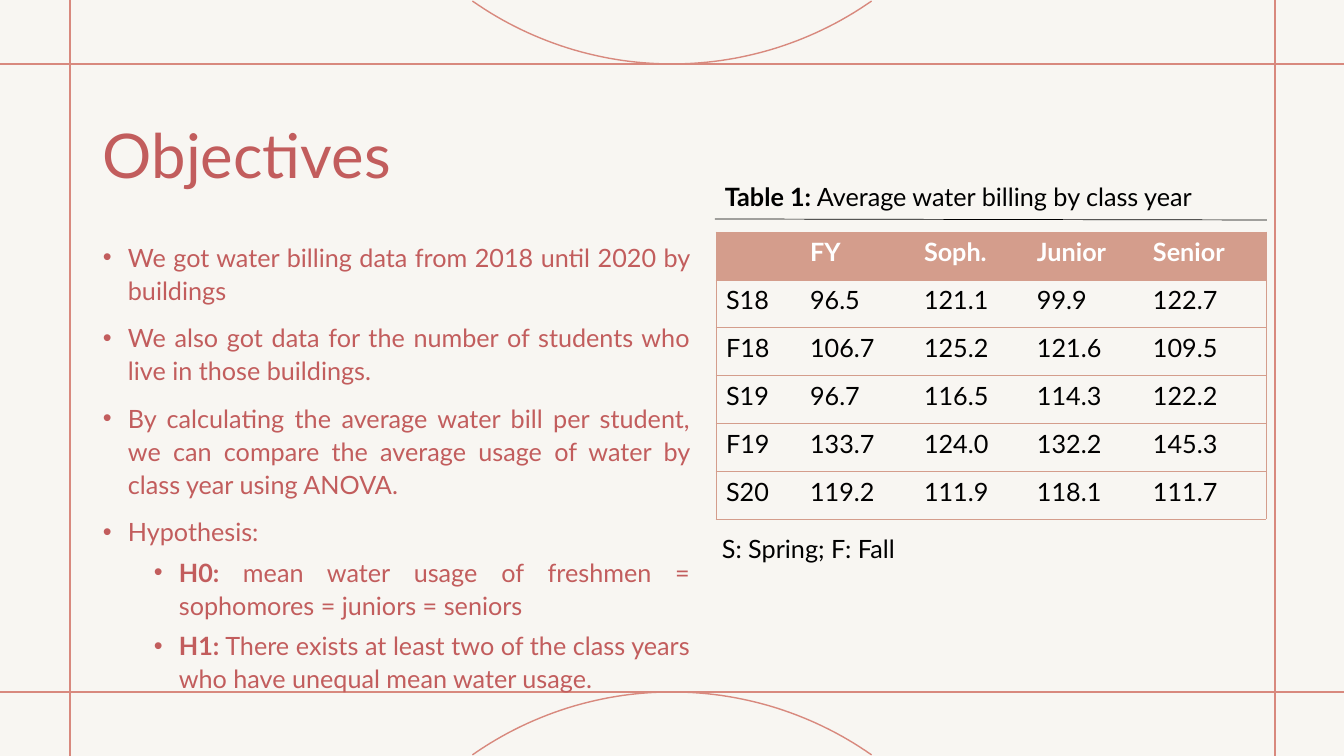
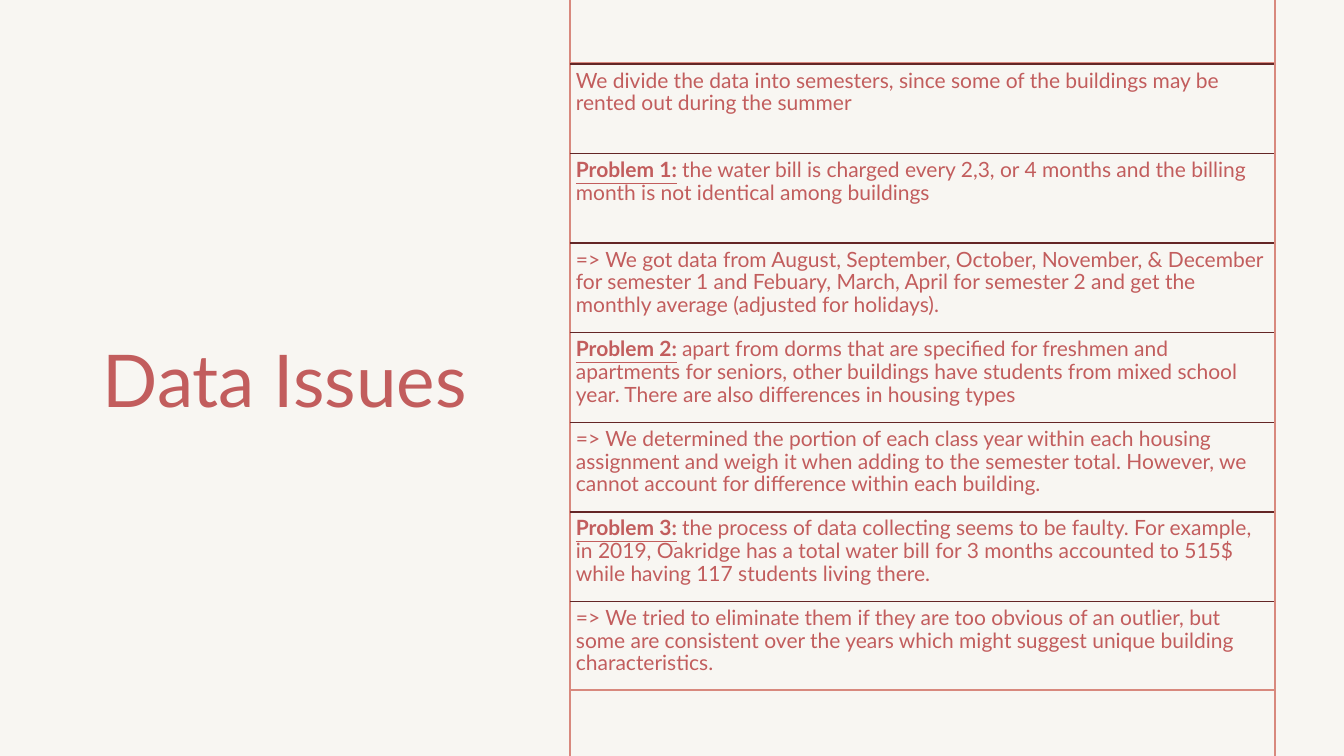
from math import cos, radians, sin

from lxml.etree import SubElement
from pptx import Presentation
from pptx.dml.color import RGBColor
from pptx.enum.shapes import MSO_CONNECTOR
from pptx.enum.text import MSO_ANCHOR, PP_ALIGN
from pptx.oxml import parse_xml
from pptx.oxml.ns import nsdecls, qn
from pptx.util import Pt

SCALE = 12192000 / 1344
WIDTH, HEIGHT = 1344, 756

THEME = {
    "font": "Lato",
    "paper": RGBColor.from_string("F8F6F2"),
    "text": RGBColor.from_string("C25D5D"),
    "frame": RGBColor.from_string("D8897E"),
    "rule": RGBColor.from_string("642626"),
    "header": RGBColor.from_string("D49D8C"),
    "white": RGBColor.from_string("FFFFFF"),
    "black": RGBColor.from_string("000000"),
    "title": 44,
    "big_title": 52,
    "body": 18,
    "row": 15,
}
BOLD = {"bold": True}
BOLD_UNDERLINE = {"bold": True, "underline": True}

FRAME = {"left": 70, "right": 1275, "top": 64, "bottom": 692}
ARC = {"radius": 348, "half_angle": 35, "steps": 60}

OBJECTIVES = [
    (0, [("We got water billing data from 2018 until 2020 by buildings", {})]),
    (0, [("We also got data for the number of students who live in those buildings.", {})]),
    (0, [("By calculating the average water bill per student, we can compare the average "
          "usage of water by class year using ANOVA.", {})]),
    (0, [("Hypothesis:", {})]),
    (1, [("H0: ", BOLD),
         ("mean water usage of freshmen = sophomores = juniors = seniors", {})]),
    (1, [("H1:", BOLD),
         (" There exists at least two of the class years who have unequal mean water usage.", {})]),
]
LEVELS = [{"indent": 25, "space": 10}, {"indent": 76, "space": 5}]
HANGING = 25

CAPTION = [("Table 1:", BOLD), (" Average water billing by class year", {})]
LEGEND = [("S: Spring; F: Fall", {})]
BILLING = [
    ("", "FY", "Soph.", "Junior", "Senior"),
    ("S18", "96.5", "121.1", "99.9", "122.7"),
    ("F18", "106.7", "125.2", "121.6", "109.5"),
    ("S19", "96.7", "116.5", "114.3", "122.2"),
    ("F19", "133.7", "124.0", "132.2", "145.3"),
    ("S20", "119.2", "111.9", "118.1", "111.7"),
]
COLUMN_WIDTHS = [84, 114, 113, 116, 123]
TABLE_BOX = (716, 232, sum(COLUMN_WIDTHS), 287)

ISSUES = [
    ("", "We divide the data into semesters, since some of the buildings may be rented out "
         "during the summer"),
    ("Problem 1:", "the water bill is charged every 2,3, or 4 months and the billing month is "
                   "not identical among buildings"),
    ("", "=> We got data from August, September, October, November, & December for semester 1 "
         "and Febuary, March, April for semester 2 and get the monthly average "
         "(adjusted for holidays)."),
    ("Problem 2:", "apart from dorms that are specified for freshmen and apartments for seniors, "
                   "other buildings have students from mixed school year. There are also "
                   "differences in housing types"),
    ("", "=> We determined the portion of each class year within each housing assignment and "
         "weigh it when adding to the semester total. However, we cannot account for "
         "difference within each building."),
    ("Problem 3:", "the process of data collecting seems to be faulty. For example, in 2019, "
                   "Oakridge has a total water bill for 3 months accounted to 515$ while having "
                   "117 students living there."),
    ("", "=> We tried to eliminate them if they are too obvious of an outlier, but some are "
         "consistent over the years which might suggest unique building characteristics."),
]
ISSUE_LEFT, ISSUE_RIGHT, ISSUE_TOP, ISSUE_HEIGHT = 570, 1274, 64, 627


def px(value):
    return round(value * SCALE)


def apply_format(target, values):
    for name, value in values.items():
        setattr(target, name, value)


def add_runs(paragraph, runs, size, color):
    for text, extra in runs:
        run = paragraph.add_run()
        run.text = text
        apply_format(run.font, {"name": THEME["font"], "size": Pt(size), **extra})
        run.font.color.rgb = color


def add_text(slide, box, runs, size, color, anchor=MSO_ANCHOR.TOP, spacing=1.0, margins=None):
    frame = slide.shapes.add_textbox(*map(px, box)).text_frame
    apply_format(frame, {"word_wrap": True, "vertical_anchor": anchor})
    if margins is not None:
        for side in ("left", "right", "top", "bottom"):
            setattr(frame, f"margin_{side}", px(margins))
    paragraph = frame.paragraphs[0]
    paragraph.line_spacing = spacing
    add_runs(paragraph, runs, size, color)
    return frame


def add_title(slide, box, text, size):
    add_text(slide, box, [(text, {})], size, THEME["text"], MSO_ANCHOR.MIDDLE)


def add_line(slide, start, end, color, width=1):
    line = slide.shapes.add_connector(MSO_CONNECTOR.STRAIGHT, *map(px, (*start, *end)))
    line.line.color.rgb = color
    line.line.width = Pt(width)
    SubElement(line.element.spPr, qn("a:effectLst"))


def add_arc(slide, edge, direction):
    center = edge - direction * ARC["radius"]
    points = []
    for step in range(ARC["steps"] + 1):
        angle = radians(ARC["half_angle"] * (2 * step / ARC["steps"] - 1))
        points.append((px(WIDTH / 2 + ARC["radius"] * sin(angle)),
                       px(center + direction * ARC["radius"] * cos(angle))))
    builder = slide.shapes.build_freeform(*points[0], scale=1.0)
    builder.add_line_segments(points[1:], close=False)
    shape = builder.convert_to_shape()
    shape.shadow.inherit = False
    shape.fill.background()
    shape.line.color.rgb = THEME["frame"]
    shape.line.width = Pt(1)


def add_frame(slide, horizontals, verticals, left=0, right=WIDTH):
    for y in horizontals:
        add_line(slide, (left, y), (right, y), THEME["frame"])
    for x in verticals:
        add_line(slide, (x, 0), (x, HEIGHT), THEME["frame"])


def add_bullets(slide, box, items):
    frame = slide.shapes.add_textbox(*map(px, box)).text_frame
    frame.word_wrap = True
    for index, (level, runs) in enumerate(items):
        paragraph = frame.add_paragraph() if index else frame.paragraphs[0]
        properties = paragraph._p.get_or_add_pPr()
        properties.set("marL", str(px(LEVELS[level]["indent"])))
        properties.set("indent", str(-px(HANGING)))
        SubElement(properties, qn("a:buFont"), typeface="Arial")
        SubElement(properties, qn("a:buChar"), char="•")
        space = LEVELS[level]["space"] if index else 0
        apply_format(paragraph, {"level": level, "alignment": PP_ALIGN.JUSTIFY,
                                 "line_spacing": 1.1, "space_before": Pt(space)})
        add_runs(paragraph, runs, THEME["body"], THEME["text"])


def set_borders(cell, visible):
    properties = cell._tc.get_or_add_tcPr()
    for position, side in enumerate("LRTB"):
        fill = "<a:noFill/>"
        if side in visible:
            fill = f'<a:solidFill><a:srgbClr val="{THEME["header"]}"/></a:solidFill>'
        properties.insert(position, parse_xml(
            f'<a:ln{side} {nsdecls("a")} w="{Pt(0.5)}">{fill}</a:ln{side}>'))


def add_billing_table(slide):
    table = slide.shapes.add_table(len(BILLING), len(COLUMN_WIDTHS), *map(px, TABLE_BOX)).table
    apply_format(table, {"first_row": False, "horz_banding": False})
    for column, width in zip(table.columns, COLUMN_WIDTHS):
        column.width = px(width)
    last = len(COLUMN_WIDTHS) - 1
    for row_index, values in enumerate(BILLING):
        header = row_index == 0
        for column_index, value in enumerate(values):
            cell = table.cell(row_index, column_index)
            if header:
                cell.fill.solid()
                cell.fill.fore_color.rgb = THEME["header"]
            else:
                cell.fill.background()
            set_borders(cell, "TB" + {0: "L", last: "R"}.get(column_index, ""))
            if value:
                add_runs(cell.text_frame.paragraphs[0], [(value, {"bold": header})],
                         THEME["body"], THEME["white" if header else "black"])


def new_slide(presentation):
    slide = presentation.slides.add_slide(presentation.slide_layouts[6])
    slide.background.fill.solid()
    slide.background.fill.fore_color.rgb = THEME["paper"]
    return slide


def build_objectives(presentation):
    slide = new_slide(presentation)
    add_frame(slide, (FRAME["bottom"], FRAME["top"]), (FRAME["right"], FRAME["left"]))
    add_arc(slide, FRAME["top"], 1)
    add_arc(slide, FRAME["bottom"], -1)
    add_title(slide, (93, 81, 1159, 146), "Objectives", THEME["title"])
    add_bullets(slide, (93, 234, 607, 421), OBJECTIVES)
    add_billing_table(slide)
    add_text(slide, (712, 528, 302, 40), LEGEND, THEME["body"], THEME["black"])
    add_text(slide, (715, 176, 551, 40), CAPTION, THEME["body"], THEME["black"])
    add_line(slide, (715, 219), (1267, 220), THEME["black"], 0.5)


def build_data_issues(presentation):
    slide = new_slide(presentation)
    add_title(slide, (93, 64, 450, 628), "Data Issues", THEME["big_title"])
    add_frame(slide, (63, 690), (ISSUE_LEFT, FRAME["right"]), ISSUE_LEFT, FRAME["right"])
    pitch = ISSUE_HEIGHT / len(ISSUES)
    for index, (label, text) in enumerate(ISSUES):
        top = ISSUE_TOP + index * pitch
        add_line(slide, (ISSUE_LEFT, top), (ISSUE_RIGHT, top), THEME["rule"])
        runs = [(label, BOLD_UNDERLINE), (" ", BOLD), (text, {})] if label else [(text, {})]
        add_text(slide, (ISSUE_LEFT, top, ISSUE_RIGHT - ISSUE_LEFT, pitch), runs,
                 THEME["row"], THEME["text"], spacing=0.9, margins=6)


def main():
    presentation = Presentation()
    apply_format(presentation, {"slide_width": px(WIDTH), "slide_height": px(HEIGHT)})
    build_objectives(presentation)
    build_data_issues(presentation)
    presentation.save("out.pptx")


if __name__ == "__main__":
    main()
